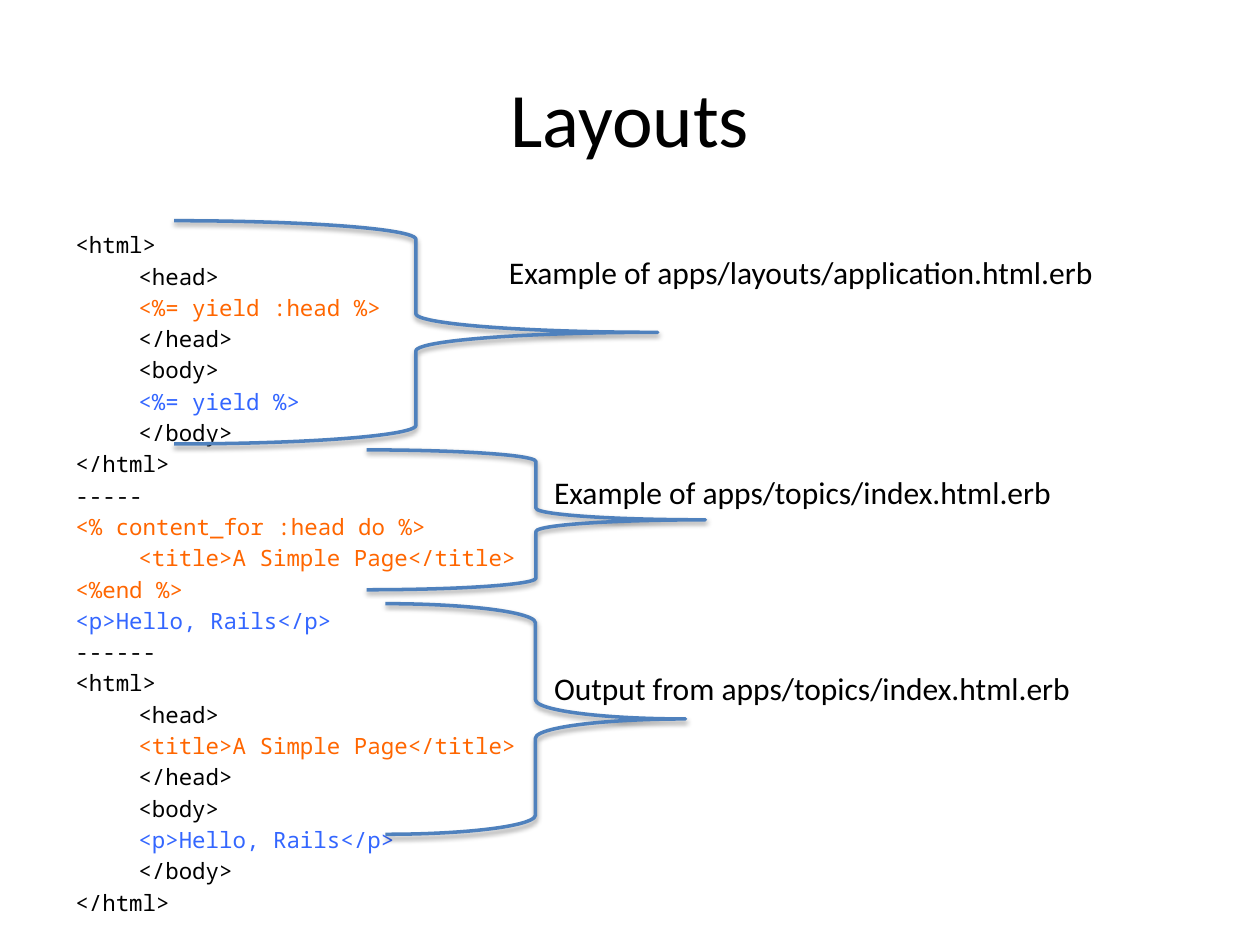
from lxml import etree
from pptx import Presentation
from pptx.dml.color import RGBColor
from pptx.enum.shapes import MSO_SHAPE as SHAPE
from pptx.enum.text import MSO_ANCHOR as ANCHOR, PP_ALIGN as ALIGN
from pptx.oxml import parse_xml
from pptx.oxml.ns import nsdecls, qn
from pptx.util import Cm, Pt

THEME = {
    "black": RGBColor.from_string("000000"),
    "orange": RGBColor.from_string("FF6600"),
    "blue": RGBColor.from_string("3366FF"),
    "brace": RGBColor.from_string("4F81BD"),
    "sans": "Calibri", "mono": "Noto Sans Mono",
    "title": Pt(44), "label": Pt(18), "code": Pt(12.8), "code_line": Pt(17.9),
}

prs = Presentation()
prs.slide_width, prs.slide_height = Cm(25.4), Cm(19.05)
s = prs.slides.add_slide(prs.slide_layouts[6])


def add_text(box, text, size, font):
    tf = s.shapes.add_textbox(*[Cm(v) for v in box]).text_frame
    tf.word_wrap = True
    tf.text = text
    for p in tf.paragraphs:
        for r in p.runs:
            r.font.size, r.font.name = THEME[size], THEME[font]
            r.font.color.rgb = THEME["black"]
    return tf


# Title
tf = add_text((1.27, 0.76, 22.86, 3.18), "Layouts", "title", "sans")
tf.vertical_anchor = ANCHOR.MIDDLE
tf.paragraphs[0].alignment = ALIGN.CENTER

# Code listing: each line with its colour
code = [
    ("<html>", "black"),
    ("\t<head>", "black"),
    ("\t<%= yield :head %>", "orange"),
    ("\t</head>", "black"),
    ("\t<body>", "black"),
    ("\t<%= yield %>", "blue"),
    ("\t</body>", "black"),
    ("</html>", "black"),
    ("-----", "black"),
    ("<% content_for :head do %>", "orange"),
    ("\t<title>A Simple Page</title>", "orange"),
    ("<%end %>", "orange"),
    ("<p>Hello, Rails</p>", "blue"),
    ("------", "black"),
    ("<html>", "black"),
    ("\t<head>", "black"),
    ("\t<title>A Simple Page</title>", "orange"),
    ("\t</head>", "black"),
    ("\t<body>", "black"),
    ("\t<p>Hello, Rails</p>", "blue"),
    ("\t</body>", "black"),
    ("</html>", "black"),
]
tf = add_text((1.27, 4.45, 10.69, 12.57), "\n".join(line for line, _ in code),
              "code", "mono")
for p, (_, color) in zip(tf.paragraphs, code):
    p.line_spacing = THEME["code_line"]
    p.runs[0].font.color.rgb = THEME[color]
    tabs = etree.SubElement(p._p.get_or_add_pPr(), qn("a:tabLst"))
    etree.SubElement(tabs, qn("a:tab"), pos=str(Cm(1.27)), algn="l")

# Braces with a soft shadow below
for box in [(3.51, 4.45, 9.75, 4.5), (7.39, 9.07, 6.83, 2.82),
            (7.77, 12.17, 6.05, 4.65)]:
    sp = s.shapes.add_shape(SHAPE.RIGHT_BRACE, *[Cm(v) for v in box])
    sp.fill.background()
    sp.line.color.rgb, sp.line.width = THEME["brace"], Pt(2)
    sp._element.spPr.append(parse_xml(
        f'<a:effectLst {nsdecls("a")}><a:outerShdw blurRad="{Pt(3.1)}" '
        f'dist="{Pt(1.6)}" dir="5400000" rotWithShape="0">'
        '<a:srgbClr val="000000"><a:alpha val="38000"/></a:srgbClr>'
        '</a:outerShdw></a:effectLst>'))

# Labels beside the braces
for left, top, text in [
    (10.01, 4.98, "Example of apps/layouts/application.html.erb"),
    (10.92, 9.42, "Example of apps/topics/index.html.erb"),
    (10.92, 13.36, "Output from apps/topics/index.html.erb"),
]:
    add_text((left, top, 12.95, 1.02), text, "label", "sans")

prs.save("out.pptx")
